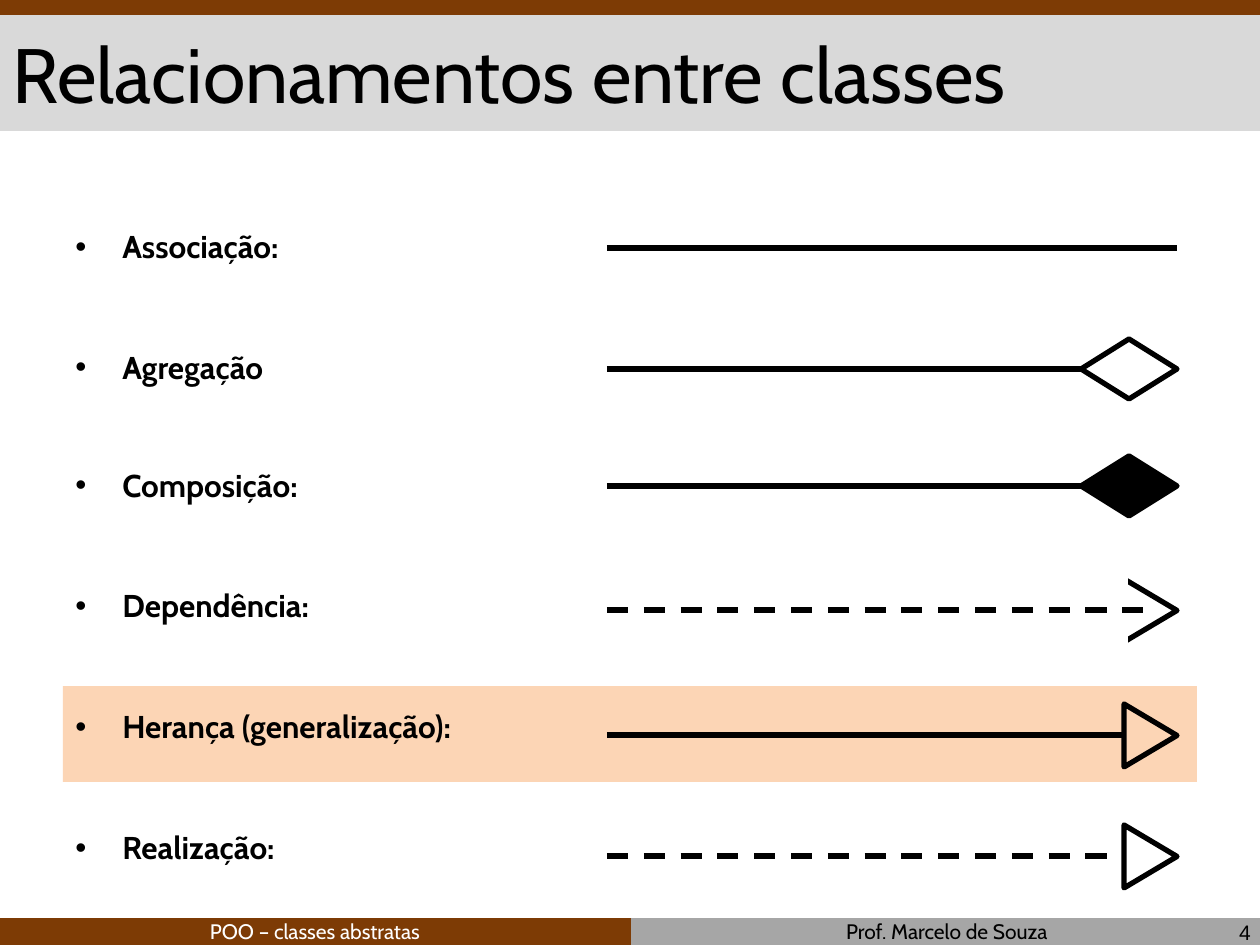
from dataclasses import dataclass

from lxml import etree
from pptx import Presentation
from pptx import util as u
from pptx.dml.color import RGBColor
from pptx.enum import dml, shapes, text
from pptx.oxml.ns import qn


@dataclass(frozen=True)
class Theme:
    brown: str = "7D3B05"
    footer_gray: str = "A6A6A6"
    title_gray: str = "D9D9D9"
    highlight: str = "FCD5B5"
    black: str = "000000"
    white: str = "FFFFFF"
    font: str = "Cabin"
    number_font: str = "Arial"
    title_size: int = 44
    label_size: int = 18
    footer_size: int = 12
    stroke: int = 3


THEME = Theme()
LINE_LEFT, LINE_RIGHT = 607, 1177

# label, space before in points, line height on the slide in px, dashed, head, head fill
RELATIONS = [
    ("Associação:", 0, 248, False, None, None),
    ("Agregação", 47.5, 369, False, "diamond", THEME.white),
    ("Composição:", 45.5, 486, False, "diamond", THEME.black),
    ("Dependência:", 47.5, 610, True, "open", None),
    ("Herança (generalização):", 47.5, 735, False, "triangle", THEME.highlight),
    ("Realização:", 47.5, 856, True, "triangle", THEME.white),
]


def px(length):
    return u.Emu(round(length * 914400 / 126))


def color(value):
    return RGBColor.from_string(value)


def add_figure(slide, kind, box, fill=None, outline=None):
    figure = slide.shapes.add_shape(kind, *map(px, box))
    figure.shadow.inherit = False
    if fill:
        figure.fill.solid()
        figure.fill.fore_color.rgb = color(fill)
    else:
        figure.fill.background()
    if outline:
        figure.line.color.rgb = color(outline)
        figure.line.width = u.Pt(THEME.stroke)
    else:
        figure.line.fill.background()
    return figure


def add_line(slide, start, end, ink=THEME.black, width=THEME.stroke, dashed=False):
    line = slide.shapes.add_connector(
        shapes.MSO_CONNECTOR.STRAIGHT, *map(px, start + end))
    line.line.color.rgb = color(ink)
    line.line.width = u.Pt(width)
    if dashed:
        line.line.dash_style = dml.MSO_LINE.DASH
    etree.SubElement(line._element.spPr, qn("a:effectLst"))


def style(paragraph, size, ink=THEME.black, font=THEME.font, bold=False):
    paragraph.font.name = font
    paragraph.font.size = u.Pt(size)
    paragraph.font.bold = bold
    paragraph.font.color.rgb = color(ink)


def add_frame(slide, box, anchor):
    frame = slide.shapes.add_textbox(*map(px, box)).text_frame
    frame.word_wrap = True
    frame.vertical_anchor = anchor
    return frame


def add_text(slide, box, words, size, align, anchor=text.MSO_ANCHOR.MIDDLE, **look):
    paragraph = add_frame(slide, box, anchor).paragraphs[0]
    paragraph.text = words
    paragraph.alignment = align
    style(paragraph, size, **look)


def add_bullet(paragraph, indent):
    properties = paragraph._p.get_or_add_pPr()
    properties.set("marL", str(px(indent)))
    properties.set("indent", str(-px(indent)))
    font = etree.Element(qn("a:buFont"), typeface="Arial")
    mark = etree.Element(qn("a:buChar"), char="•")
    defaults = properties.find(qn("a:defRPr"))
    defaults.addprevious(font)
    defaults.addprevious(mark)


def add_labels(slide):
    frame = add_frame(slide, (63, 221, 1134, 661), text.MSO_ANCHOR.TOP)
    for index, (label, gap, *_) in enumerate(RELATIONS):
        paragraph = frame.add_paragraph() if index else frame.paragraphs[0]
        paragraph.text = label
        paragraph.alignment = text.PP_ALIGN.JUSTIFY
        paragraph.space_before = u.Pt(gap)
        style(paragraph, THEME.label_size, bold=True)
        add_bullet(paragraph, 47)


def add_head(slide, head, y, fill):
    if head == "diamond":
        add_figure(slide, shapes.MSO_SHAPE.DIAMOND, (1081, y - 30, 96, 60),
                   fill, THEME.black)
        return
    triangle = add_figure(slide, shapes.MSO_SHAPE.ISOSCELES_TRIANGLE,
                          (1119, y - 26, 63, 53), fill, THEME.black)
    triangle.rotation = 90
    if head == "open":
        # A white stroke hides the base, which leaves an open arrowhead.
        add_line(slide, (1123, y - 39), (1123, y + 40), THEME.white, 2 * THEME.stroke)


def add_relation(slide, y, dashed, head, fill):
    if head == "open":
        add_head(slide, head, y, fill)
        add_line(slide, (LINE_LEFT, y), (1152, y), dashed=dashed)
        return
    add_line(slide, (LINE_LEFT, y), (LINE_RIGHT, y), dashed=dashed)
    if head:
        add_head(slide, head, y, fill)


def add_bands(slide):
    for box, fill in [
        ((630, 918, 631, 30), THEME.footer_gray),
        ((0, 918, 631, 30), THEME.brown),
        ((0, 14, 1260, 117), THEME.title_gray),
        ((0, 0, 1264, 15), THEME.brown),
        ((63, 686, 1134, 96), THEME.highlight),
    ]:
        add_figure(slide, shapes.MSO_SHAPE.RECTANGLE, box, fill)


def add_title_and_footer(slide):
    align, bottom = text.PP_ALIGN, text.MSO_ANCHOR.BOTTOM
    add_text(slide, (0, 15, 1260, 115), "Relacionamentos entre classes",
             THEME.title_size, align.LEFT)
    add_text(slide, (0, 912, 630, 38), "POO – classes abstratas",
             THEME.footer_size, align.CENTER, bottom, ink=THEME.white)
    add_text(slide, (631, 912, 632, 38), "Prof. Marcelo de Souza",
             THEME.footer_size, align.CENTER, bottom)
    add_text(slide, (969, 911, 294, 42), "4", THEME.footer_size, align.RIGHT,
             font=THEME.number_font)


def main():
    deck = Presentation()
    deck.slide_width, deck.slide_height = px(1260), px(945)
    slide = deck.slides.add_slide(deck.slide_layouts[6])
    add_bands(slide)
    add_title_and_footer(slide)
    add_labels(slide)
    for _, _, y, dashed, head, fill in RELATIONS:
        add_relation(slide, y, dashed, head, fill)
    deck.save("out.pptx")


if __name__ == "__main__":
    main()
